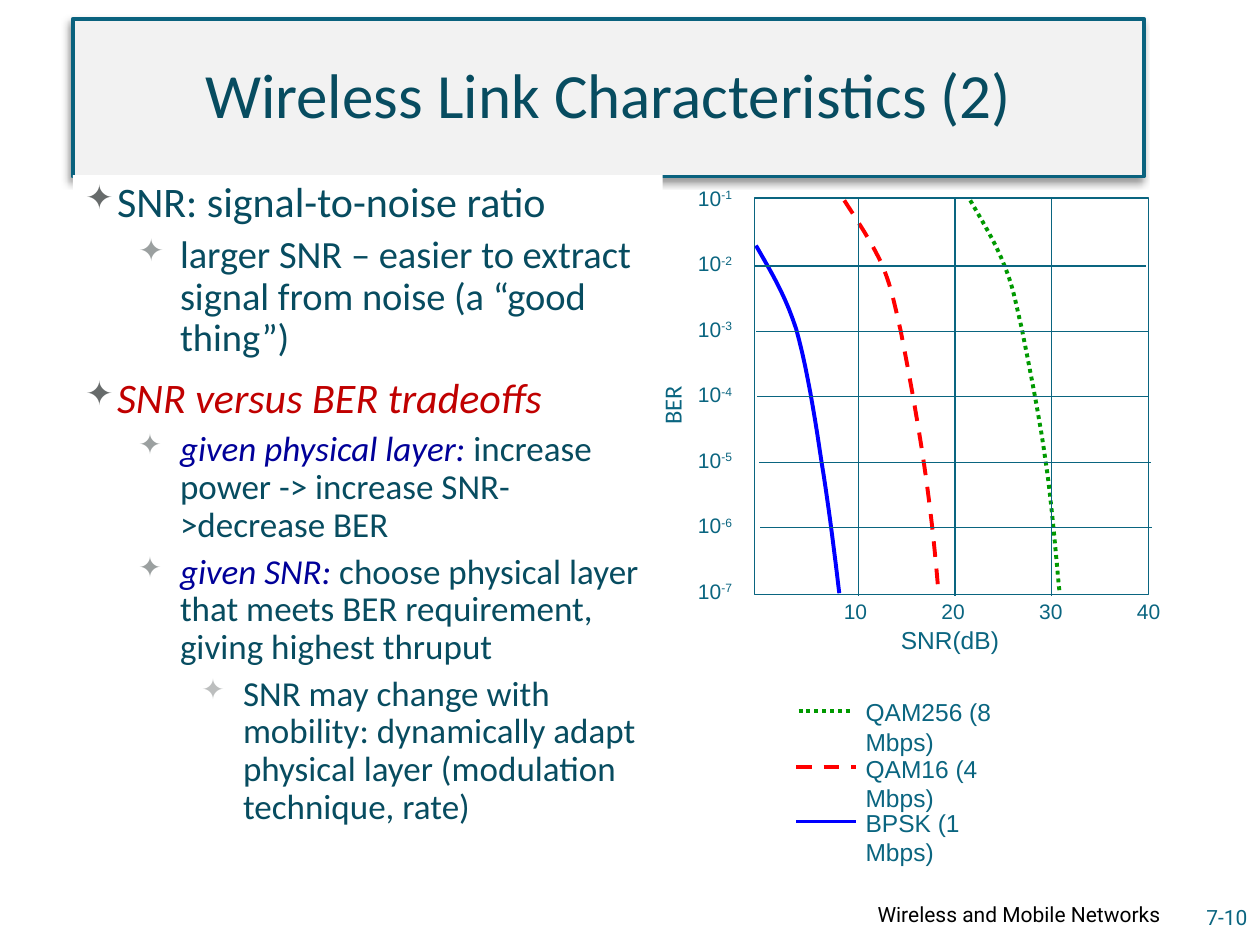
from lxml import etree
from pptx import Presentation
from pptx import util as u
from pptx.dml.color import RGBColor
from pptx.enum import dml, shapes, text
from pptx.oxml import ns

WHITE = RGBColor(0xFF, 0xFF, 0xFF)
BLACK = RGBColor(0, 0, 0)
PANEL = RGBColor(0xF2, 0xF2, 0xF2)
BORDER = RGBColor(0x0A, 0x62, 0x7E)
TEAL = RGBColor(0x0A, 0x65, 0x80)
INK = RGBColor(0x07, 0x4C, 0x60)
RED = RGBColor(0xC0, 0, 0)
NAVY = RGBColor(0, 0, 0x99)
BLUE_CURVE = RGBColor(0, 0, 0xFF)
RED_CURVE = RGBColor(0xFF, 0, 0)
GREEN_CURVE = RGBColor(0, 0x99, 0)

CALIBRI = {"name": "Calibri"}
TICK = {"name": "Arial", "size": u.Pt(12)}
LABEL = {"name": "Arial", "size": u.Pt(14)}
FOOTER = {"name": "Roboto", "size": u.Pt(12)}
ITALIC = {"italic": True}

# Per outline level: text indent in cm, space before in points, bullet colour
LEVELS = [(0.64, 10, "676B6B"), (1.91, 5, "9BA0A0"), (3.18, 5, "BCBEBE")]
HANGING = 0.84

# Level, size, runs of (text, colour, extra format)
OUTLINE = [
    (0, 24, [("SNR: signal-to-noise ratio", INK, {})]),
    (1, 22, [("larger SNR – easier to extract signal from noise (a “good thing”)", INK, {})]),
    (0, 24, [("SNR versus BER tradeoffs", RED, ITALIC)]),
    (1, 20, [("given physical layer:", NAVY, ITALIC),
             (" increase power -> increase SNR->decrease BER", INK, {})]),
    (1, 20, [("given SNR:", NAVY, ITALIC),
             (" choose physical layer that meets BER requirement, giving highest thruput", INK, {})]),
    (2, 20, [("SNR may change with mobility: dynamically adapt physical layer "
              "(modulation technique, rate)", INK, {})]),
]

# Bezier curves in cm: a start, then two control points and an end per segment
BPSK = [(15.24, 4.95), (15.52, 5.44), (15.82, 5.92), (16.05, 6.63),
        (16.26, 7.37), (16.43, 8.41), (16.56, 9.3),
        (16.71, 10.19), (16.87, 11.53), (16.92, 11.96)]
QAM16 = [(17.02, 4.04), (17.3, 4.47), (17.58, 4.9), (17.78, 5.33),
         (17.96, 5.77), (18.01, 6.02), (18.16, 6.68),
         (18.29, 7.34), (18.49, 8.41), (18.62, 9.3),
         (18.75, 10.16), (18.85, 11.07), (18.92, 11.96)]
QAM256 = [(19.56, 4.04), (19.81, 4.47), (20.07, 4.9), (20.24, 5.33),
          (20.42, 5.77), (20.45, 5.99), (20.6, 6.63),
          (20.73, 7.29), (20.96, 8.41), (21.08, 9.3),
          (21.21, 10.16), (21.31, 11.48), (21.36, 11.94)]

# Curve, colour, dash, legend text, text box width, key ends, key height
SERIES = [
    (BPSK, BLUE_CURVE, None, "BPSK (1 Mbps)", 3.91, (16.05, 17.25), 16.56),
    (QAM16, RED_CURVE, dml.MSO_LINE.DASH, "QAM16 (4 Mbps)", 4.27, (16.05, 17.25), 15.47),
    (QAM256, GREEN_CURVE, dml.MSO_LINE.ROUND_DOT, "QAM256 (8 Mbps)", 4.52, (16.1, 17.2), 14.33),
]
LEGEND_TEXT_WIDTH = 2.92


def cm_box(box):
    return [u.Cm(value) for value in box]


def style_line(line, color, width, dash=None):
    line.color.rgb = color
    line.width = u.Pt(width)
    if dash is not None:
        line.dash_style = dash


def add_run(paragraph, words, color, formats):
    run = paragraph.add_run()
    run.text = words
    run.font.color.rgb = color
    for attribute, value in formats.items():
        setattr(run.font, attribute, value)
    return run


def add_panel(slide, box, fill=None, border=None, width=0.75):
    panel = slide.shapes.add_shape(shapes.MSO_SHAPE.RECTANGLE, *cm_box(box))
    panel.shadow.inherit = False
    if fill is None:
        panel.fill.background()
    else:
        panel.fill.solid()
        panel.fill.fore_color.rgb = fill
    if border is None:
        panel.line.fill.background()
    else:
        style_line(panel.line, border, width)
    return panel


def add_label(slide, box, words, formats, color=TEAL, wrap=False,
              align=text.PP_ALIGN.LEFT, anchor=text.MSO_ANCHOR.TOP):
    label = slide.shapes.add_textbox(*cm_box(box))
    label.text_frame.word_wrap = wrap
    label.text_frame.vertical_anchor = anchor
    paragraph = label.text_frame.paragraphs[0]
    paragraph.alignment = align
    add_run(paragraph, words, color, formats)
    return label


def add_line(slide, x1, y1, x2, y2, color=TEAL, width=0.75, dash=None):
    line = slide.shapes.add_connector(shapes.MSO_CONNECTOR.STRAIGHT, *cm_box((x1, y1, x2, y2)))
    style_line(line.line, color, width, dash)
    etree.SubElement(line._element.spPr, ns.qn("a:effectLst"))


def add_curve(slide, points, color, dash, steps=10):
    """Draw a chain of cubic segments as a fine open outline."""
    outline = []
    for first in range(0, len(points) - 1, 3):
        segment = points[first:first + 4]
        for step in range(1, steps + 1):
            t = step / steps
            weights = ((1 - t) ** 3, 3 * t * (1 - t) ** 2, 3 * t * t * (1 - t), t ** 3)
            outline.append([u.Cm(sum(w * p[axis] for w, p in zip(weights, segment)))
                            for axis in (0, 1)])
    builder = slide.shapes.build_freeform(*cm_box(points[0]))
    builder.add_line_segments(outline, close=False)
    curve = builder.convert_to_shape()
    curve.shadow.inherit = False
    curve.fill.background()
    style_line(curve.line, color, 2.25, dash)


def add_title(slide):
    title = add_panel(slide, (1.47, 0.38, 21.59, 3.18), PANEL, BORDER, 2.25)
    effects = title._element.spPr.find(ns.qn("a:effectLst"))
    shadow = etree.SubElement(effects, ns.qn("a:outerShdw"), blurRad=str(u.Pt(4)),
                              dist=str(u.Pt(3)), dir=str(135 * 60000), rotWithShape="0")
    shade = etree.SubElement(shadow, ns.qn("a:srgbClr"), val="000000")
    etree.SubElement(shade, ns.qn("a:alpha"), val="40000")
    title.text_frame.vertical_anchor = text.MSO_ANCHOR.MIDDLE
    paragraph = title.text_frame.paragraphs[0]
    paragraph.alignment = text.PP_ALIGN.CENTER
    paragraph.line_spacing = 0.9
    add_run(paragraph, "Wireless Link Characteristics (2)", INK, {**CALIBRI, "size": u.Pt(36)})


def add_outline(slide):
    frame = add_panel(slide, (1.47, 3.53, 11.89, 14.43), WHITE).text_frame
    frame.word_wrap = True
    frame.vertical_anchor = text.MSO_ANCHOR.TOP
    for index, (level, size, runs) in enumerate(OUTLINE):
        paragraph = frame.add_paragraph() if index else frame.paragraphs[0]
        indent, space, bullet = LEVELS[level]
        layout = {"level": level, "alignment": text.PP_ALIGN.LEFT,
                  "line_spacing": 0.9, "space_before": u.Pt(space)}
        for attribute, value in layout.items():
            setattr(paragraph, attribute, value)
        properties = paragraph._p.get_or_add_pPr()
        properties.set("marL", str(u.Cm(indent)))
        properties.set("indent", str(u.Cm(-HANGING)))
        color = etree.SubElement(properties, ns.qn("a:buClr"))
        etree.SubElement(color, ns.qn("a:srgbClr"), val=bullet)
        etree.SubElement(properties, ns.qn("a:buSzPct"), val="80000")
        etree.SubElement(properties, ns.qn("a:buChar"), char="✦")
        for words, ink, extra in runs:
            add_run(paragraph, words, ink, {**CALIBRI, "size": u.Pt(size), **extra})


def add_plot(slide):
    # Curves, frame and grid
    for points, color, dash, *_ in SERIES:
        add_curve(slide, points, color, dash)
    add_panel(slide, (15.21, 3.99, 7.95, 8), border=TEAL)
    for row in range(5):
        left, y = 15.21 + 0.03 * row, 5.36 + 1.32 * row
        add_line(slide, left, y, left + 7.9, y)
    for column in range(3):
        x = 17.3 + 1.95 * column
        add_line(slide, x, 3.99, x, 12.02)

    # Axis ticks and titles
    for column in range(4):
        add_label(slide, (16.76 + 1.97 * column, 11.94, 0.99, 0.76), str(10 * (column + 1)), TICK)
    for row in range(7):
        tick = add_label(slide, (13.82, 3.61 + 1.32 * row, 1.22, 0.76), "10", TICK)
        power = add_run(tick.text_frame.paragraphs[0], f"-{row + 1}", TEAL, TICK)
        power.font._element.set("baseline", "30000")
    add_label(slide, (17.91, 12.47, 2.49, 0.84), "SNR(dB)", LABEL)
    ber = add_label(slide, (12.88, 7.7, 1.35, 0.86), "BER", {**LABEL, **CALIBRI})
    ber.rotation = 270


def add_legend(slide):
    for _, color, dash, words, width, (start, end), y in SERIES:
        add_line(slide, start, y, end, y, color, 2.25, dash)
        entry = add_label(slide, (17.2, y - 0.4, width, 0.84), words, LABEL, wrap=True)
        entry.text_frame.margin_right = u.Cm(width - LEGEND_TEXT_WIDTH)


def add_footer(slide):
    for box, words, color in [((23.5, 18.11, 1.9, 0.76), "7-10", TEAL),
                              ((16.26, 18.08, 7.49, 0.71), "Wireless and Mobile Networks ", BLACK)]:
        add_label(slide, box, words, FOOTER, color, True,
                  text.PP_ALIGN.RIGHT, text.MSO_ANCHOR.MIDDLE)


def main():
    deck = Presentation()
    deck.slide_width, deck.slide_height = u.Cm(25.4), u.Cm(19.05)
    slide = deck.slides.add_slide(deck.slide_layouts[6])
    for add_part in (add_title, add_outline, add_plot, add_legend, add_footer):
        add_part(slide)
    deck.save("out.pptx")


if __name__ == "__main__":
    main()
